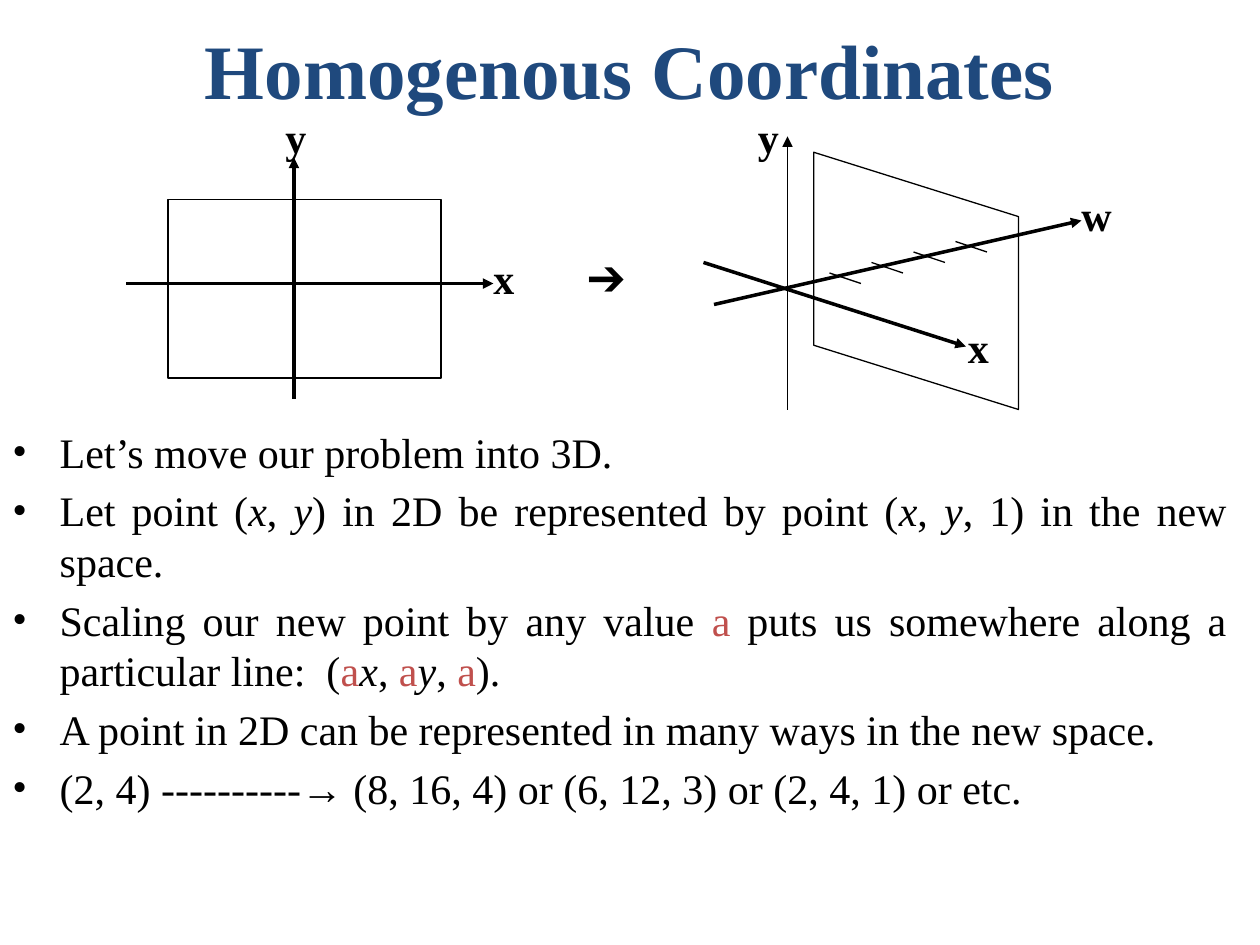
from lxml import etree
from pptx import Presentation
from pptx.dml.color import RGBColor
from pptx.enum.shapes import MSO_CONNECTOR, MSO_SHAPE
from pptx.enum.text import MSO_ANCHOR, PP_ALIGN
from pptx.oxml.ns import qn
from pptx.util import Pt

PX = 7620  # 120 px to the inch
BLACK = RGBColor(0x00, 0x00, 0x00)
NAVY = RGBColor(0x1F, 0x49, 0x7D)
RED = RGBColor(0xC0, 0x50, 0x4D)
LINE = MSO_CONNECTOR.STRAIGHT
RECT = MSO_SHAPE.RECTANGLE
SLANT = MSO_SHAPE.PARALLELOGRAM
TOP, MIDDLE = MSO_ANCHOR.TOP, MSO_ANCHOR.MIDDLE
LEFT, CENTER, FULL = PP_ALIGN.LEFT, PP_ALIGN.CENTER, PP_ALIGN.JUSTIFY
THIN, THICK = 0.75, 2
INDENT = 45

# Pieces between bars that stand for a variable get their own look.
VARS = {"x": {"italic": True}, "y": {"italic": True}, "a": {"color": RED}}
POINTS = [
    ("Let’s move our problem into 3D.", FULL),
    ("Let point (|x|, |y|) in 2D be represented by point (|x|, |y|, 1) "
     "in the new space.", FULL),
    ("Scaling our new point by any value |a| puts us somewhere along a "
     "particular line:  (|a|x|, |a|y|, |a|).", FULL),
    ("A point in 2D can be represented in many ways in the new space.", FULL),
    ("(2, 4) ----------→ (8, 16, 4) or (6, 12, 3) or (2, 4, 1) or etc.", LEFT),
]
LABELS = [
    ("y", 260, 100, 44), ("y", 710, 100, 44), ("x", 458, 235, 44),
    ("x", 910, 300, 44), ("w", 1018, 175, 53), ("➔", 548, 235, 67),
]
ARROWS = [
    (120, 270, 470, 270, THICK), (280, 380, 280, 150, THICK),
    (750, 390, 750, 130, THIN), (670, 250, 920, 330, THICK),
    (680, 290, 1030, 210, THICK),
]


def apply(item, values):
    for name, value in values.items():
        setattr(item, name, value)


class Board:
    def __init__(self, slide, face="Times New Roman", size=24):
        self.slide = slide
        self.face = face
        self.size = size

    def frame(self, x, y, w, h, wrap=True, anchor=TOP):
        box = self.slide.shapes.add_textbox(x * PX, y * PX, w * PX, h * PX)
        apply(box.text_frame, {"word_wrap": wrap, "vertical_anchor": anchor})
        return box.text_frame

    def run(self, para, text, color=BLACK, **values):
        run = para.add_run()
        run.text = text
        base = {"name": self.face, "size": Pt(self.size)}
        apply(run.font, {**base, **values})
        run.font.color.rgb = color

    def title(self, text, *place):
        para = self.frame(*place, anchor=MIDDLE).paragraphs[0]
        para.alignment = CENTER
        self.run(para, text, NAVY, size=Pt(44), bold=True)

    def label(self, text, x, y, w):
        para = self.frame(x, y, w, 60, wrap=False).paragraphs[0]
        self.run(para, text, bold=True)

    def bullet(self, para):
        props = para._p.get_or_add_pPr()
        props.set("marL", str(INDENT * PX))
        props.set("indent", str(-INDENT * PX))
        tint = etree.SubElement(props, qn("a:buClr"))
        etree.SubElement(tint, qn("a:srgbClr"), val=str(BLACK))
        etree.SubElement(props, qn("a:buFont"), typeface=self.face)
        etree.SubElement(props, qn("a:buChar"), char="•")

    def points(self, items, *place):
        frame = self.frame(*place)
        for index, (text, align) in enumerate(items):
            para = frame.add_paragraph() if index else frame.paragraphs[0]
            self.bullet(para)
            gap = Pt(4.8 if index else 0)
            apply(para, {"alignment": align, "space_before": gap})
            for piece in text.split("|"):
                self.run(para, piece, **VARS.get(piece, {}))

    def stroke(self, item, width):
        item.line.color.rgb = BLACK
        item.line.width = Pt(width)

    def outline(self, kind, x, y, w, h, turn=0):
        shape = self.slide.shapes.add_shape(kind, x * PX, y * PX, w * PX, h * PX)
        shape.shadow.inherit = False
        shape.fill.background()
        shape.rotation = turn
        self.stroke(shape, THIN)
        return shape

    def line(self, x1, y1, x2, y2, width=THIN, arrow=False):
        line = self.slide.shapes.add_connector(
            LINE, x1 * PX, y1 * PX, x2 * PX, y2 * PX)
        self.stroke(line, width)
        if arrow:
            etree.SubElement(line.line._get_or_add_ln(), qn("a:tailEnd"),
                             type="triangle")
        etree.SubElement(line._element.spPr, qn("a:effectLst"))


def main():
    deck = Presentation()
    apply(deck, {"slide_width": 1200 * PX, "slide_height": 900 * PX})
    board = Board(deck.slides.add_slide(deck.slide_layouts[6]))
    board.title("Homogenous Coordinates", 90, -10, 1020, 150)
    board.points(POINTS, 0, 400, 1180, 470)
    board.outline(RECT, 160, 190, 260, 170)
    plane = board.outline(SLANT, 750, 170, 245, 195, turn=270)
    plane.adjustments[0] = 0.314
    for arrow in ARROWS:
        board.line(*arrow, arrow=True)
    for step in range(4):
        x, y = 790 + 40 * step, 260 - 10 * step
        board.line(x, y, x + 30, y + 10)
    for label in LABELS:
        board.label(*label)
    deck.save("out.pptx")


if __name__ == "__main__":
    main()
